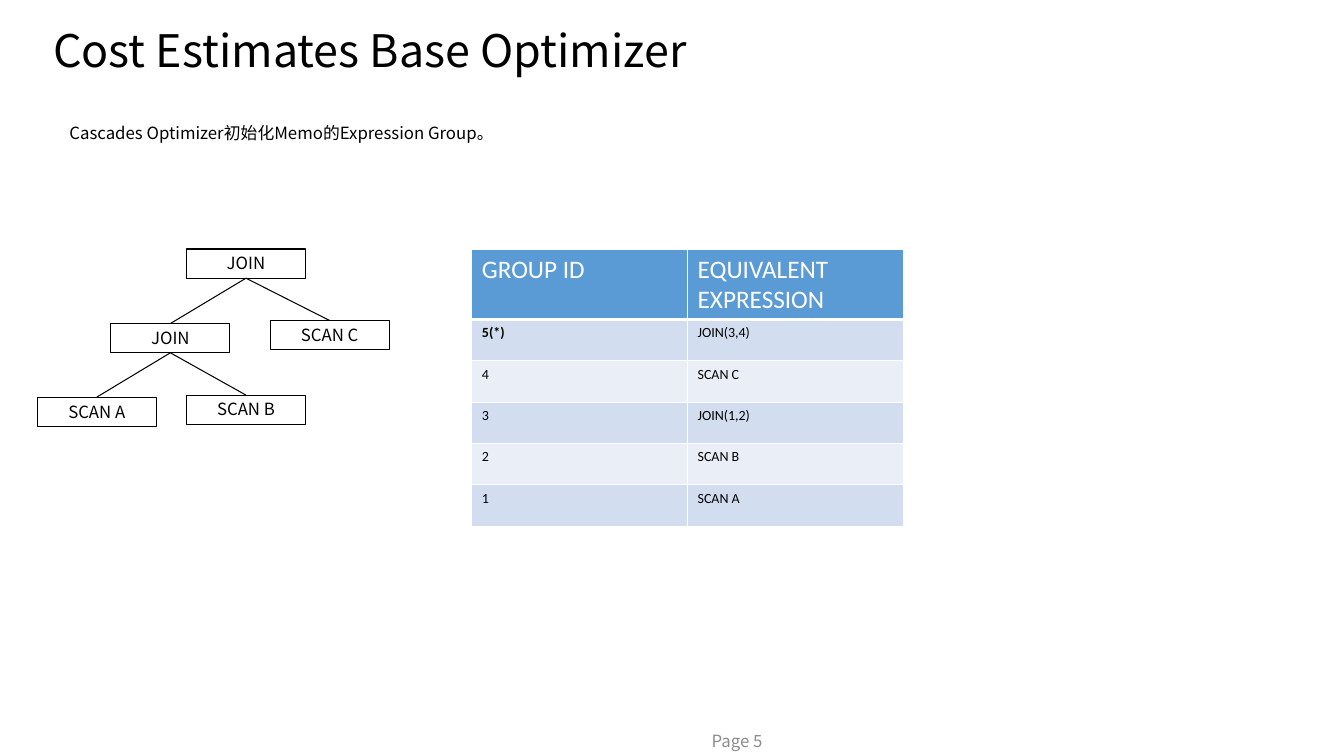
from dataclasses import dataclass

from lxml import etree
from pptx import Presentation
from pptx.dml.color import RGBColor
from pptx.enum.shapes import MSO_CONNECTOR, MSO_SHAPE
from pptx.enum.text import MSO_ANCHOR, PP_ALIGN
from pptx.oxml.ns import qn
from pptx.util import Inches, Pt

STRAIGHT = MSO_CONNECTOR.STRAIGHT
PROCESS = MSO_SHAPE.FLOWCHART_PROCESS
TOP, MIDDLE = MSO_ANCHOR.TOP, MSO_ANCHOR.MIDDLE
CENTER = PP_ALIGN.CENTER
TOP_SITE, BOTTOM_SITE = 0, 2


@dataclass(frozen=True)
class Theme:
    """Colours, fonts and type sizes of the slide."""
    black: str = "000000"
    white: str = "FFFFFF"
    gray: str = "8C8C8C"
    head: str = "5B9BD5"
    bands: tuple = ("D2DEEF", "EAEFF7")
    sans: str = "Noto Sans CJK SC"
    grid: str = "Calibri"
    title: int = 32
    header: int = 18
    body: int = 12
    cell: int = 10
    line: float = 0.75


@dataclass(frozen=True)
class Label:
    """A text box: place, words and look."""
    left: float
    top: float
    width: float
    height: float
    text: str
    size: int
    color: str
    anchor: MSO_ANCHOR = MIDDLE
    spacing: float = 1.0


@dataclass(frozen=True)
class Node:
    """An operator in the plan tree, with the key of its parent."""
    key: str
    text: str
    left: float
    top: float
    parent: str = ""


THEME = Theme()
NODE_W, NODE_H = 1.18, 0.29
ROW_H, COL_W = 0.41, 2.14

LABELS = [
    Label(6.96, 7.1, 2.29, 0.5, "Page 5", THEME.body, THEME.gray),
    Label(0.43, 0.05, 8.47, 0.95, "Cost Estimates Base Optimizer",
          THEME.title, THEME.black, spacing=0.9),
    Label(0.59, 1.17, 8.74, 0.3,
          "Cascades Optimizer初始化Memo的Expression Group。",
          THEME.body, THEME.black, TOP),
]
NODES = [
    Node("root", "JOIN", 1.85, 2.47),
    Node("inner", "JOIN", 1.1, 3.21, "root"),
    Node("c", "SCAN C", 2.68, 3.18, "root"),
    Node("a", "SCAN A", 0.37, 3.94, "inner"),
    Node("b", "SCAN B", 1.85, 3.92, "inner"),
]
MEMO = [
    ("GROUP ID", "EQUIVALENT EXPRESSION"),
    ("5(*)", "JOIN(3,4)"),
    ("4", "SCAN C"),
    ("3", "JOIN(1,2)"),
    ("2", "SCAN B"),
    ("1", "SCAN A"),
]


def style(frame, size: int, color: str, face: str, bold: bool = False) -> None:
    """Format every run of a text frame."""
    for para in frame.paragraphs:
        for run in para.runs:
            font = run.font
            font.size, font.bold, font.name = Pt(size), bold, face
            font.color.rgb = RGBColor.from_string(color)
            east = etree.Element(qn("a:ea"), typeface=face)
            run._r.rPr.find(qn("a:latin")).addnext(east)


def add_label(slide, label: Label) -> None:
    """Add one text box."""
    box = slide.shapes.add_textbox(Inches(label.left), Inches(label.top),
                                   Inches(label.width), Inches(label.height))
    frame = box.text_frame
    frame.word_wrap, frame.vertical_anchor = True, label.anchor
    frame.text = label.text
    frame.paragraphs[0].line_spacing = label.spacing
    style(frame, label.size, label.color, THEME.sans)


def add_node(slide, node: Node):
    """Add one outlined operator box and return it."""
    box = slide.shapes.add_shape(PROCESS, Inches(node.left), Inches(node.top),
                                 Inches(NODE_W), Inches(NODE_H))
    box.shadow.inherit = False
    box.fill.background()
    box.line.color.rgb = RGBColor.from_string(THEME.black)
    box.line.width = Pt(THEME.line)
    frame = box.text_frame
    frame.margin_left = frame.margin_right = Inches(0.09)
    frame.margin_top = frame.margin_bottom = Inches(0.04)
    frame.word_wrap, frame.vertical_anchor = True, TOP
    frame.text = node.text
    frame.paragraphs[0].alignment = CENTER
    style(frame, THEME.body, THEME.black, THEME.sans)
    return box


def add_edge(slide, parent, child) -> None:
    """Join the bottom of a parent box to the top of a child box."""
    edge = slide.shapes.add_connector(STRAIGHT, 0, 0, 0, 0)
    edge.begin_connect(parent, BOTTOM_SITE)
    edge.end_connect(child, TOP_SITE)
    edge.line.color.rgb = RGBColor.from_string(THEME.black)
    edge.line.width = Pt(THEME.line)
    etree.SubElement(edge._element.spPr, qn("a:effectLst"))


def add_tree(slide, nodes: list[Node]) -> None:
    """Draw the plan tree: boxes first, then edges."""
    boxes = {node.key: add_node(slide, node) for node in nodes}
    for node in nodes:
        if node.parent:
            add_edge(slide, boxes[node.parent], boxes[node.key])


def set_border(cell, base: int) -> None:
    """Give a cell white borders, with its own width at the base."""
    props = cell._tc.get_or_add_tcPr()
    widths = {"a:lnL": 1, "a:lnR": 1, "a:lnT": 1, "a:lnB": base}
    for spot, (tag, width) in enumerate(widths.items()):
        line = etree.Element(qn(tag), w=str(Pt(width)))
        fill = etree.SubElement(line, qn("a:solidFill"))
        etree.SubElement(fill, qn("a:srgbClr"), val=THEME.white)
        props.insert(spot, line)


def add_memo(slide, rows: list[tuple[str, str]]) -> None:
    """Add the table of memo groups."""
    count, span = len(rows), len(rows[0])
    table = slide.shapes.add_table(
        count, span, Inches(4.68), Inches(2.47),
        Inches(COL_W * span), Inches(ROW_H * count)).table
    for col in table.columns:
        col.width = Inches(COL_W)
    for r, words in enumerate(rows):
        table.rows[r].height = Inches(ROW_H)
        head = r == 0
        back = THEME.head if head else THEME.bands[(r - 1) % 2]
        size = THEME.header if head else THEME.cell
        color = THEME.white if head else THEME.black
        for c, word in enumerate(words):
            cell = table.cell(r, c)
            cell.text_frame.text = word
            cell.fill.solid()
            cell.fill.fore_color.rgb = RGBColor.from_string(back)
            set_border(cell, 3 if head else 1)
            style(cell.text_frame, size, color, THEME.grid, "*" in word)


def main() -> None:
    """Build the slide and save it."""
    deck = Presentation()
    deck.slide_width, deck.slide_height = Inches(13.33), Inches(7.5)
    slide = deck.slides.add_slide(deck.slide_layouts[6])
    for label in LABELS:
        add_label(slide, label)
    add_tree(slide, NODES)
    add_memo(slide, MEMO)
    deck.save("out.pptx")


main()
